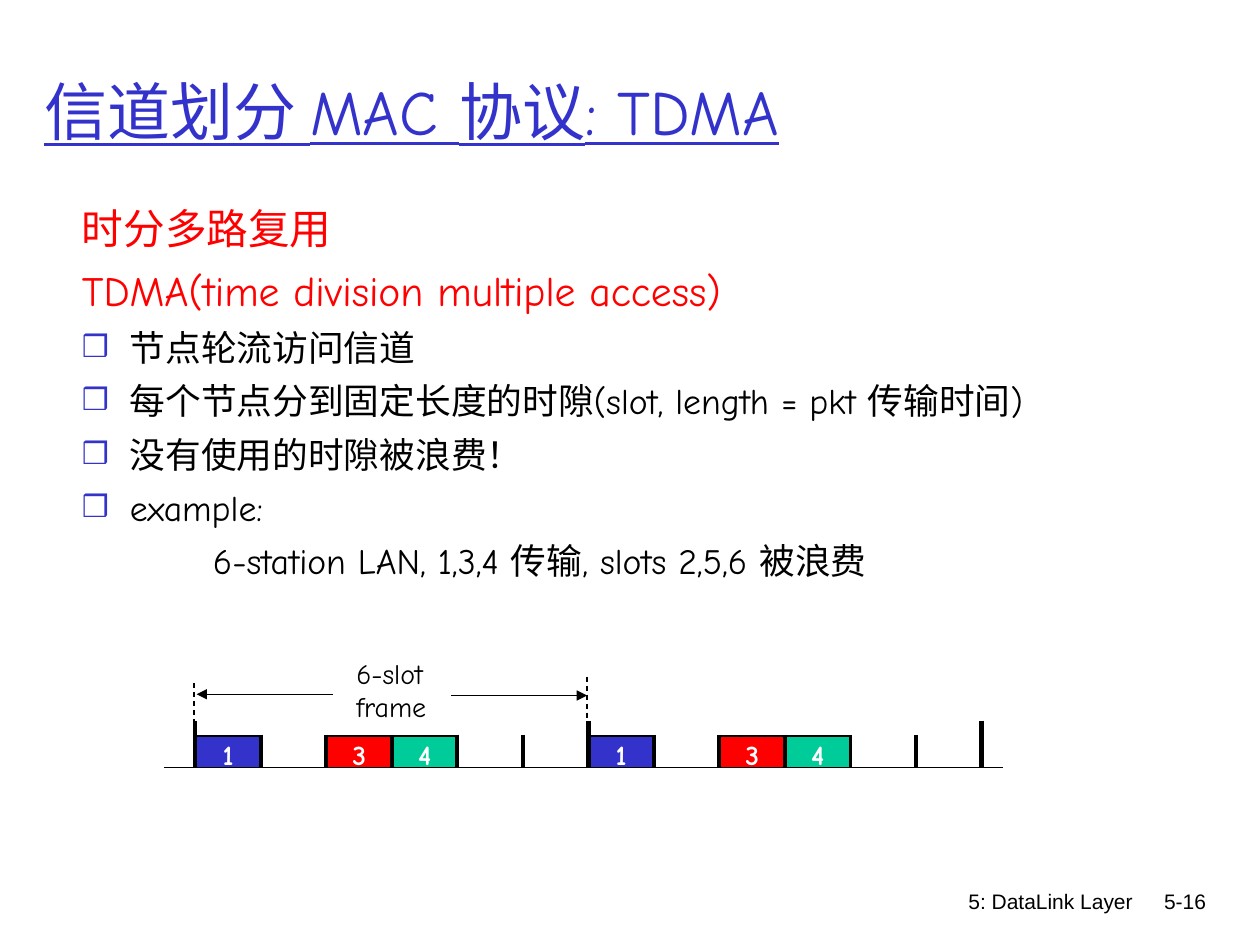
"""Build a slide on TDMA channel partitioning with a six-slot frame timeline."""
from dataclasses import dataclass
from typing import Optional

from lxml.etree import SubElement
from pptx import Presentation
from pptx.dml.color import RGBColor
from pptx.enum.dml import MSO_LINE_DASH_STYLE as Dash
from pptx.enum.shapes import MSO_CONNECTOR, MSO_SHAPE
from pptx.enum.text import MSO_ANCHOR, MSO_AUTO_SIZE, PP_ALIGN
from pptx.oxml.ns import qn
from pptx.util import Inches, Pt

BLUE, RED, GREEN, BLACK, WHITE = "3333CC", "FF0000", "00CC99", "000000", "FFFFFF"
COMIC = "Comic Neue"
START, SLOT, SLOTS_PER_FRAME = 1.55, 0.52, 6
SLOT_TOP, SLOT_HEIGHT = 5.84, 0.25
BASELINE = SLOT_TOP + SLOT_HEIGHT


@dataclass(frozen=True)
class Point:
    text: str
    color: str = BLACK
    size: float = 20.4
    space: float = 6
    bullet: Optional[str] = None
    left: float = 0.38
    hanging: float = -0.38


@dataclass(frozen=True)
class UsedSlot:
    number: int
    color: str


@dataclass(frozen=True)
class Stroke:
    start: tuple[float, float]
    end: tuple[float, float]
    width: float = 0.75
    dashed: bool = False
    arrow: bool = False


@dataclass(frozen=True)
class Label:
    box: tuple[float, float, float, float]
    lines: tuple[str, ...]
    size: float
    font: str
    align: PP_ALIGN
    wrap: bool = True


POINTS = (
    Point("时分多路复用", RED, 23.8, 0),
    Point("TDMA(time division multiple access)", RED, 23.8, 7),
    Point("节点轮流访问信道", bullet="❒"),
    Point("每个节点分到固定长度的时隙(slot, length = pkt 传输时间)", bullet="❒"),
    Point("没有使用的时隙被浪费！", bullet="❒"),
    Point("example:", bullet="❒"),
    Point("6-station LAN, 1,3,4 传输, slots 2,5,6 被浪费", left=1.04, hanging=0),
)
USED_SLOTS = (UsedSlot(1, BLUE), UsedSlot(3, RED), UsedSlot(4, GREEN))
LABELS = (
    Label((2.73, 5.16, 0.76, 0.64), ("6-slot", "frame"), 16, COMIC, PP_ALIGN.LEFT, False),
    Label((5.92, 7, 3.17, 0.5), ("5: DataLink Layer",), 12, "Arial", PP_ALIGN.RIGHT),
    Label((8.93, 7, 0.74, 0.5), ("5-16",), 12, "Arial", PP_ALIGN.RIGHT),
)
FRAME_MARKS = (
    Stroke((3.58, 5.52), (4.66, 5.52), arrow=True),
    Stroke((2.64, 5.51), (1.56, 5.51), arrow=True),
    Stroke((1.54, 5.42), (1.54, 5.75), dashed=True),
    Stroke((4.66, 5.37), (4.66, 5.7), dashed=True),
)


def rgb(value: str) -> RGBColor:
    return RGBColor.from_string(value)


def apply(target, values: dict) -> None:
    for name, value in values.items():
        setattr(target, name, value)


def place(shape, left: float, top: float, width: float, height: float) -> None:
    apply(shape, {"left": Inches(left), "top": Inches(top),
                  "width": Inches(width), "height": Inches(height)})


def write(paragraph, text: str, size: float, color: str, font: str = COMIC, **extra) -> None:
    run = paragraph.add_run()
    run.text = text
    apply(run.font, {"name": font, "size": Pt(size), **extra})
    run.font.color.rgb = rgb(color)


def paragraph_at(frame, index: int):
    return frame.add_paragraph() if index else frame.paragraphs[0]


def draw_title(title) -> None:
    place(title, 0.25, 0.25, 9.44, 1.25)
    frame = title.text_frame
    apply(frame, {"vertical_anchor": MSO_ANCHOR.MIDDLE, "auto_size": MSO_AUTO_SIZE.NONE})
    frame.paragraphs[0].alignment = PP_ALIGN.LEFT
    write(frame.paragraphs[0], "信道划分 MAC 协议: TDMA", 36, BLUE, underline=True)


def draw_point(paragraph, point: Point) -> None:
    properties = paragraph._p.get_or_add_pPr()
    properties.set("marL", str(Inches(point.left)))
    properties.set("indent", str(Inches(point.hanging)))
    if point.bullet:
        bullet_color = SubElement(properties, qn("a:buClr"))
        SubElement(bullet_color, qn("a:srgbClr"), val=BLUE)
        SubElement(properties, qn("a:buSzPct"), val="85000")
        SubElement(properties, qn("a:buChar"), char=point.bullet)
    else:
        SubElement(properties, qn("a:buNone"))
    paragraph.space_before = Pt(point.space)
    write(paragraph, point.text, point.size, point.color)


def draw_points(body) -> None:
    place(body, 0.55, 1.56, 9.24, 3.2)
    body.text_frame.auto_size = MSO_AUTO_SIZE.NONE
    for index, point in enumerate(POINTS):
        draw_point(paragraph_at(body.text_frame, index), point)


def draw_stroke(shapes, stroke: Stroke) -> None:
    ends = [Inches(value) for value in (*stroke.start, *stroke.end)]
    connector = shapes.add_connector(MSO_CONNECTOR.STRAIGHT, *ends)
    connector.line.color.rgb = rgb(BLACK)
    connector.line.width = Pt(stroke.width)
    if stroke.dashed:
        connector.line.dash_style = Dash.DASH
    if stroke.arrow:
        SubElement(connector.line._get_or_add_ln(), qn("a:tailEnd"), type="triangle")
    SubElement(connector._element.spPr, qn("a:effectLst"))


def draw_slot(shapes, slot: UsedSlot, frame_start: float) -> None:
    left = frame_start + (slot.number - 1) * SLOT
    box = shapes.add_shape(MSO_SHAPE.RECTANGLE, Inches(left), Inches(SLOT_TOP),
                           Inches(SLOT), Inches(SLOT_HEIGHT))
    box.shadow.inherit = False
    box.fill.solid()
    box.fill.fore_color.rgb = rgb(slot.color)
    box.line.color.rgb = rgb(BLACK)
    box.line.width = Pt(0.75)
    frame = box.text_frame
    apply(frame, {"margin_left": 0, "margin_right": 0, "margin_top": Inches(0.04),
                  "margin_bottom": 0, "vertical_anchor": MSO_ANCHOR.MIDDLE})
    frame.paragraphs[0].alignment = PP_ALIGN.CENTER
    write(frame.paragraphs[0], str(slot.number), 16, WHITE, bold=True)


def draw_timeline(shapes) -> None:
    draw_stroke(shapes, Stroke((1.3, BASELINE), (7.96, BASELINE)))
    for frame_index in range(2):
        for slot in USED_SLOTS:
            draw_slot(shapes, slot, START + frame_index * SLOTS_PER_FRAME * SLOT)
    for tick in range(2 * SLOTS_PER_FRAME + 1):
        x = START + tick * SLOT
        starts_frame = tick % SLOTS_PER_FRAME == 0
        top = 5.72 if starts_frame else 5.83
        width = 3 if starts_frame and tick else 2.25
        draw_stroke(shapes, Stroke((x, top), (x, BASELINE), width))
    for mark in FRAME_MARKS:
        draw_stroke(shapes, mark)


def draw_label(shapes, label: Label) -> None:
    frame = shapes.add_textbox(*map(Inches, label.box)).text_frame
    frame.word_wrap = label.wrap
    for index, line in enumerate(label.lines):
        paragraph = paragraph_at(frame, index)
        paragraph.alignment = label.align
        write(paragraph, line, label.size, BLACK, label.font)


def main() -> None:
    deck = Presentation()
    apply(deck, {"slide_width": Inches(10), "slide_height": Inches(7.5)})
    slide = deck.slides.add_slide(deck.slide_layouts[1])
    draw_title(slide.shapes.title)
    draw_points(slide.placeholders[1])
    draw_timeline(slide.shapes)
    for label in LABELS:
        draw_label(slide.shapes, label)
    deck.save("out.pptx")


if __name__ == "__main__":
    main()
